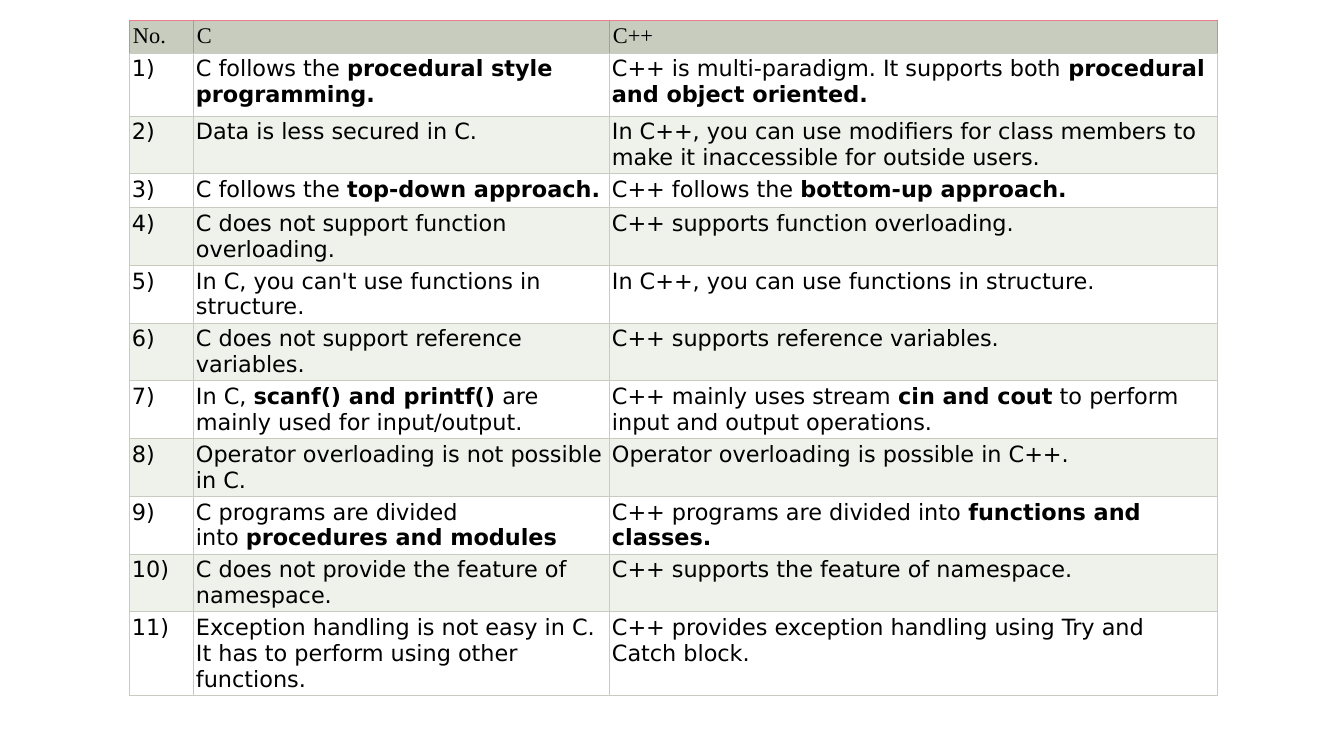
from lxml import etree
from pptx import Presentation
from pptx import util as u
from pptx.dml import color
from pptx.oxml import ns

EMU_PER_PX = 914400 / 100.8
NO_BREAK_SPACE = chr(160)
SAGE, PALE, WHITE, BLACK, PINK = "C7CCBE", "EFF1EB", "FFFFFF", "000000", "F07B8C"

COLUMN_WIDTHS = [64, 416, 609]
HEADINGS = ["No.", "C", "C++"]

# Row height, text on C, text on C++; asterisks enclose bold words
DIFFERENCES = [
    (63, "C follows the *procedural style programming.*",
     "C++ is multi-paradigm. It supports both *procedural and object oriented.*"),
    (57, "Data is less secured in C.",
     "In C++, you can use modifiers for class members to make it "
     "inaccessible for outside users."),
    (34, "C follows the *top-down approach.*",
     "C++ follows the *bottom-up approach.*"),
    (57, "C does not support function overloading.",
     "C++ supports function overloading."),
    (57, "In C, you can't use functions in structure.",
     "In C++, you can use functions in structure."),
    (57, "C does not support reference variables.",
     "C++ supports reference variables."),
    (57, "In C, *scanf() and printf()* are mainly used for input/output.",
     "C++ mainly uses stream *cin and cout* to perform input and output operations."),
    (57, "Operator overloading is not possible in C.",
     "Operator overloading is possible in C++."),
    (57, "C programs are divided into *procedures and modules*",
     "C++ programs are divided into *functions and classes.*"),
    (57, "C does not provide the feature of namespace.",
     "C++ supports the feature of namespace."),
    (83, "Exception handling is not easy in C. It has to perform using other functions.",
     "C++ provides exception handling using Try and Catch block."),
]


def px(length):
    return u.Emu(round(length * EMU_PER_PX))


def rgb(value):
    return color.RGBColor.from_string(value)


def add_runs(paragraph, marked_text, font_name):
    # A no-break space joins bold words to their plain neighbours
    marked_text = marked_text.replace(" *", NO_BREAK_SPACE + "*")
    marked_text = marked_text.replace("* ", "*" + NO_BREAK_SPACE)
    for index, part in enumerate(marked_text.split("*")):
        if part:
            run = paragraph.add_run()
            run.text = part
            run.font.name = font_name
            run.font.size = u.Pt(16)
            run.font.bold = index % 2 == 1
            run.font.color.rgb = rgb(BLACK)


def set_borders(cell, left, right, top, bottom):
    properties = cell._tc.get_or_add_tcPr()
    sides = {"a:lnL": left, "a:lnR": right, "a:lnT": top, "a:lnB": bottom}
    for index, (tag, value) in enumerate(sides.items()):
        line = etree.Element(ns.qn(tag), w=str(u.Pt(0.75)))
        fill = etree.SubElement(line, ns.qn("a:solidFill"))
        etree.SubElement(fill, ns.qn("a:srgbClr"), val=value)
        properties.insert(index, line)


def fill_cell(cell, marked_text, font_name, background, margin, edge):
    cell.margin_left = cell.margin_right = px(margin)
    cell.margin_top = cell.margin_bottom = px(margin)
    cell.fill.solid()
    cell.fill.fore_color.rgb = rgb(background)
    add_runs(cell.text_frame.paragraphs[0], marked_text, font_name)
    set_borders(cell, edge, edge, edge, SAGE)


def add_comparison_table(slide, left, top, header_height):
    heights = [header_height] + [height for height, *_ in DIFFERENCES]
    table = slide.shapes.add_table(
        len(heights), len(COLUMN_WIDTHS), px(left), px(top),
        px(sum(COLUMN_WIDTHS)), px(sum(heights))).table
    table.horz_banding = False
    for column, width in zip(table.columns, COLUMN_WIDTHS):
        column.width = px(width)
    for row, height in zip(table.rows, heights):
        row.height = px(height)

    # Header row
    for cell, heading in zip(table.rows[0].cells, HEADINGS):
        fill_cell(cell, heading, "Times New Roman", SAGE, 4, PINK)

    # Numbered rows in alternating bands
    for number, (_, c_text, cpp_text) in enumerate(DIFFERENCES, 1):
        background = WHITE if number % 2 else PALE
        entries = [f"{number})", c_text, cpp_text]
        for cell, entry in zip(table.rows[number].cells, entries):
            fill_cell(cell, entry, "DejaVu Sans", background, 3, SAGE)


def main():
    presentation = Presentation()
    presentation.slide_width, presentation.slide_height = px(1344), px(756)
    slide = presentation.slides.add_slide(presentation.slide_layouts[6])
    add_comparison_table(slide, 129, 20, 33)
    presentation.save("out.pptx")


if __name__ == "__main__":
    main()
